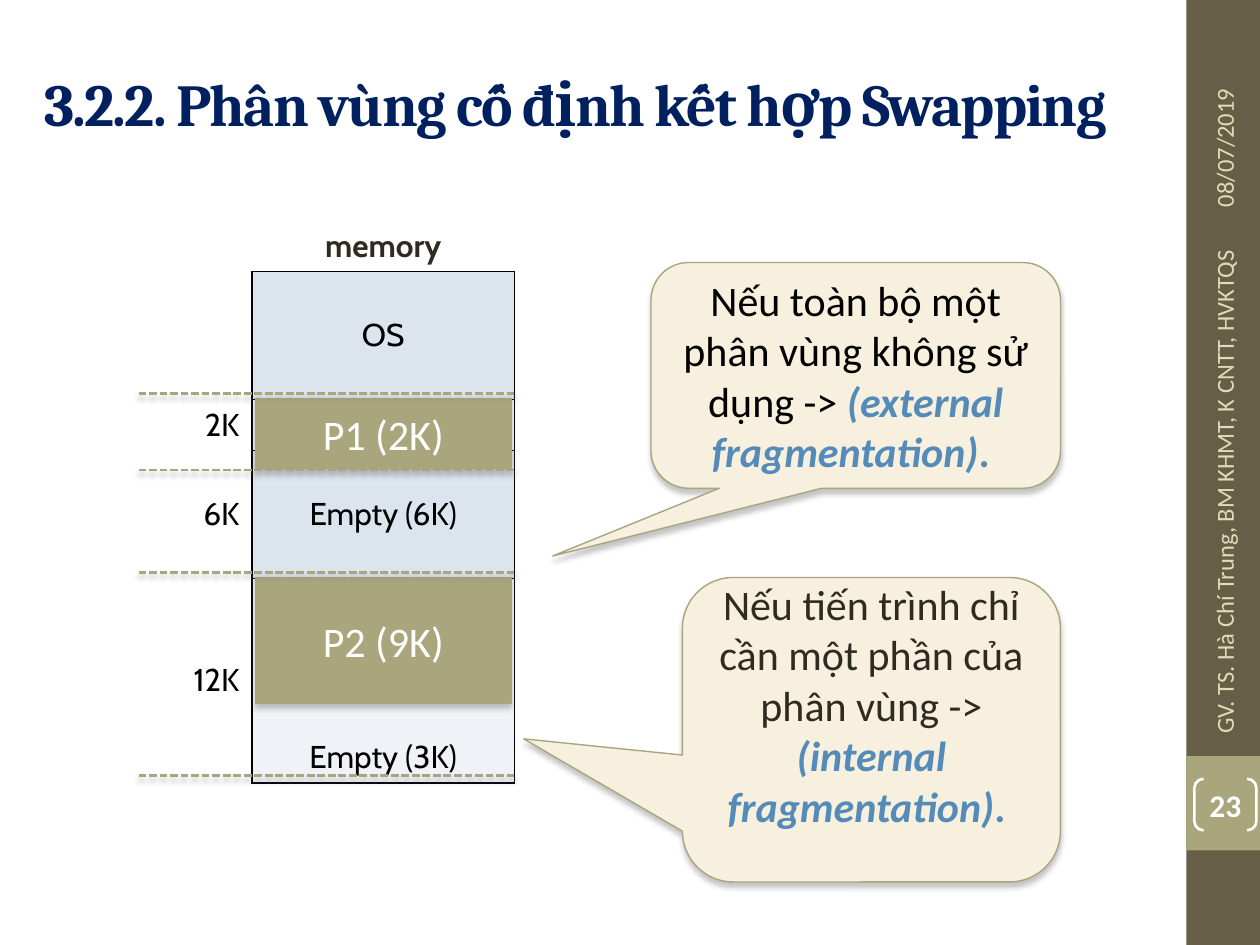
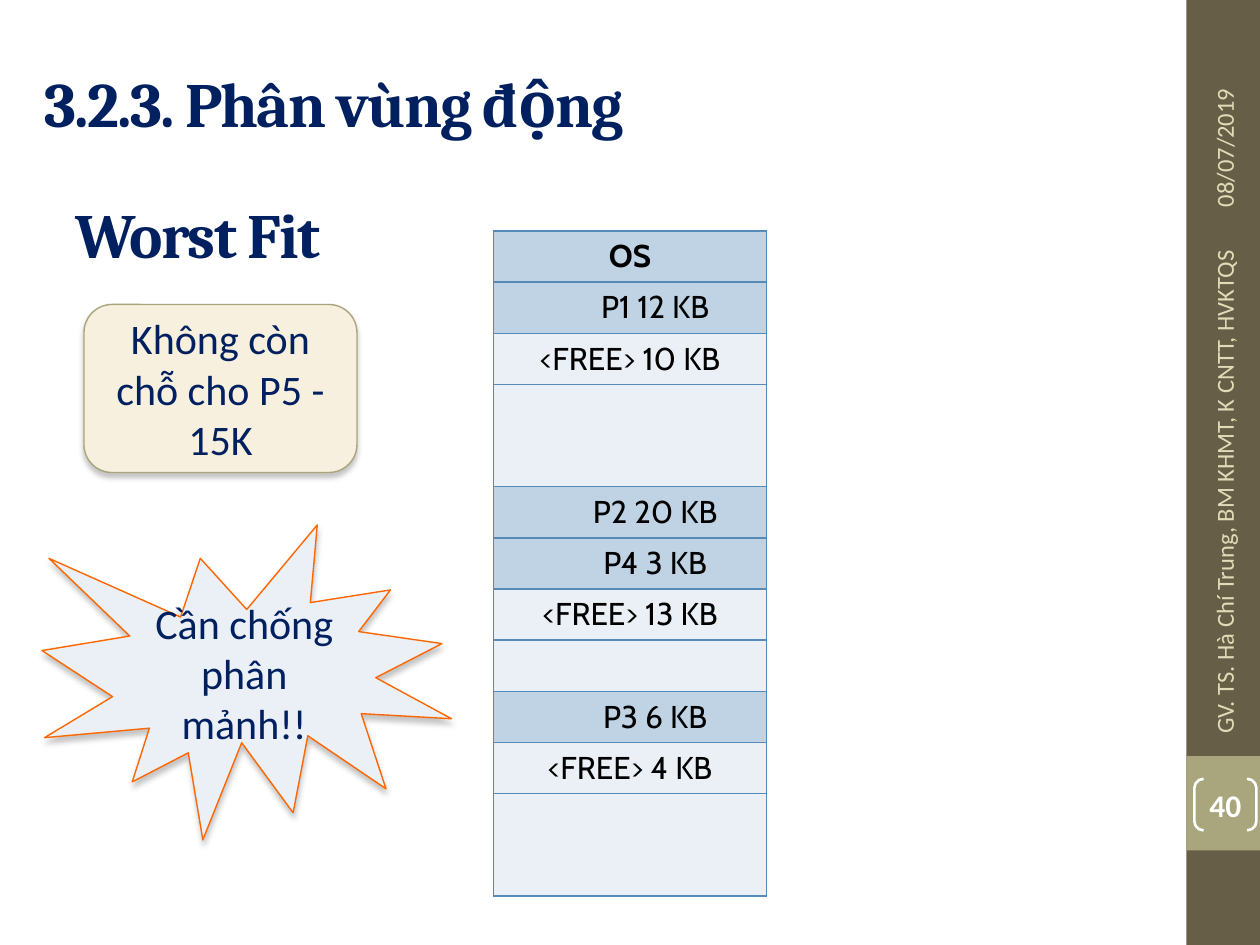
from lxml.etree import SubElement
from pptx import Presentation
from pptx.dml.color import RGBColor as RGB
from pptx.enum.dml import MSO_LINE as DASH
from pptx.enum.shapes import MSO_CONNECTOR as LINK, MSO_SHAPE as SHAPE
from pptx.enum.text import MSO_ANCHOR as ANCHOR, PP_ALIGN as ALIGN
from pptx.oxml import parse_xml
from pptx.oxml.ns import nsdecls, qn
from pptx.util import Pt

NAVY = RGB(0x00, 0x20, 0x60)
BROWN = RGB(0x67, 0x5E, 0x47)
OLIVE = RGB(0xA9, 0xA5, 0x7C)
SAND = RGB(0xDF, 0xDC, 0xB7)
CREAM = RGB(0xF7, 0xF0, 0xDE)
INK = RGB(0x2F, 0x2B, 0x20)
BLUE = RGB(0x55, 0x8B, 0xB8)
SKY = RGB(0xBF, 0xD3, 0xE4)
PALE = RGB(0xEA, 0xF0, 0xF6)
MIST = RGB(0xDC, 0xE5, 0xEE)
FROST = RGB(0xEF, 0xF3, 0xF7)
ORANGE = RGB(0xFF, 0x66, 0x00)
WHITE = RGB(0xFF, 0xFF, 0xFF)
BLACK = RGB(0x00, 0x00, 0x00)

HEAD, BODY, CELL = "Cambria", "Calibri", "Cabin"
PLAIN = "{2D5ABB26-0587-4C30-8999-92F81FD0307C}"
DATE = "08/07/2019"
AUTHOR = "GV. TS. Hà Chí Trung, BM KHMT, K CNTT, HVKTQS"
ROW = 29.25

SHADOW = f"""<a:effectLst {nsdecls("a")}>
  <a:outerShdw blurRad="{Pt(3)}" dist="{Pt(2.4)}" dir="5400000" rotWithShape="0">
    <a:srgbClr val="808080"><a:alpha val="45000"/></a:srgbClr>
  </a:outerShdw>
</a:effectLst>"""


def points(*nums):
    return [Pt(num) for num in nums]


def shade(shape):
    """Give a shape or connector the soft shadow of the deck."""
    props = shape._element.spPr
    for old in props.findall(qn("a:effectLst")):
        props.remove(old)
    props.append(parse_xml(SHADOW))


def style(run, size, color, font=BODY, bold=False, italic=False):
    face = run.font
    face.name, face.size = font, Pt(size)
    face.bold, face.italic = bold, italic
    face.color.rgb = color


def write(frame, text, size, color, font=BODY, bold=False,
          align=ALIGN.CENTER, anchor=ANCHOR.MIDDLE):
    frame.word_wrap = True
    frame.vertical_anchor = anchor
    frame.text = text
    para = frame.paragraphs[0]
    para.alignment = align
    for run in para.runs:
        style(run, size, color, font, bold)
    return para


def edge(cell, sides, color):
    """Draw the named sides (of LRTB) of a table cell."""
    props = cell._tc.get_or_add_tcPr()
    for side in "LRTB":
        if side in sides:
            line = SubElement(props, qn(f"a:ln{side}"), w=str(Pt(1)))
            fill = SubElement(line, qn("a:solidFill"))
            SubElement(fill, qn("a:srgbClr"), val=str(color))


class Deck:
    def __init__(self):
        self.prs = Presentation()
        self.prs.slide_width, self.prs.slide_height = points(720, 540)
        self.slide = None

    def start(self, title, size, number):
        """Begin a slide with its title, side band and footers."""
        self.slide = self.prs.slides.add_slide(self.prs.slide_layouts[5])
        self.shape(SHAPE.RECTANGLE, (678, 0, 42, 540), BROWN)
        self.shape(SHAPE.RECTANGLE, (678, 432, 42, 54), OLIVE)
        holder = self.slide.shapes.title
        holder.left, holder.top, holder.width, holder.height = points(
            18, 21.6, 642, 74)
        self.head(holder, title, size)
        self.side(DATE, (636.5, 48, 126, 29))
        self.side(AUTHOR, (549.5, 262, 300, 29))
        mark = self.shape(SHAPE.DOUBLE_BRACKET, (682.5, 445, 35.5, 29.5),
                          None, WHITE, 1.5)
        mark.adjustments[0] = 0.18
        frame = mark.text_frame
        frame.margin_left = frame.margin_right = 0
        frame.margin_top = frame.margin_bottom = 0
        write(frame, number, 18, WHITE, bold=True)

    def head(self, shape, text, size):
        para = write(shape.text_frame, text, size, NAVY, HEAD, True, ALIGN.LEFT)
        para.runs[0]._r.get_or_add_rPr().set("spc", "-100")

    def box(self, area):
        return self.slide.shapes.add_textbox(*points(*area))

    def side(self, text, area):
        box = self.box(area)
        box.rotation = 270
        write(box.text_frame, text, 14, SAND, align=ALIGN.LEFT)

    def shape(self, kind, area, fill, line=None, width=0.79):
        shape = self.slide.shapes.add_shape(kind, *points(*area))
        shape.shadow.inherit = False
        if fill is None:
            shape.fill.background()
        else:
            shape.fill.solid()
            shape.fill.fore_color.rgb = fill
        if line is None:
            shape.line.fill.background()
        else:
            shape.line.color.rgb = line
            shape.line.width = Pt(width)
        return shape

    def block(self, kind, area, text, color, fill, line=OLIVE):
        """Add a shadowed shape with 24 pt text."""
        shape = self.shape(kind, area, fill, line)
        shade(shape)
        write(shape.text_frame, text, 24, color)
        return shape

    def callout(self, area, tip, text, color, term=None):
        """Add a callout; tip is its pointer offset, term its stressed end."""
        shape = self.block(SHAPE.ROUNDED_RECTANGULAR_CALLOUT, area, text,
                           color, CREAM)
        shape.adjustments[0], shape.adjustments[1] = tip
        if term:
            para = shape.text_frame.paragraphs[0]
            for part, italic in ((term, True), (". ", False)):
                run = para.add_run()
                run.text = part
                style(run, 24, BLUE, bold=True, italic=italic)
        return shape

    def dash(self, left, right, top):
        line = self.slide.shapes.add_connector(
            LINK.STRAIGHT, *points(right, top, left, top))
        line.line.color.rgb = OLIVE
        line.line.width = Pt(1.5)
        line.line.dash_style = DASH.SQUARE_DOT
        shade(line)

    def table(self, left, top, cols, rows):
        frame = self.slide.shapes.add_table(
            len(rows), len(cols), *points(left, top, sum(cols), sum(rows)))
        table = frame.table
        table.first_row = table.horz_banding = False
        table._tbl.tblPr.find(qn("a:tableStyleId")).text = PLAIN
        for col, width in zip(table.columns, cols):
            col.width = Pt(width)
        for row, height in zip(table.rows, rows):
            row.height = Pt(height)
        return table

    def cell(self, cell, text, fill, sides="", color=BLACK, ink=BLACK,
             bold=False, align=ALIGN.CENTER, anchor=ANCHOR.MIDDLE):
        edge(cell, sides, color)
        cell.fill.solid()
        cell.fill.fore_color.rgb = fill
        cell.vertical_anchor = anchor
        if text:
            write(cell.text_frame, text, 18, ink, CELL, bold, align, anchor)


def fixed(deck):
    deck.start("3.2.2. Phân vùng cố định kết hợp Swapping", 34, "23")
    parts = [
        ("", "OS", 73, MIST, ANCHOR.MIDDLE),
        ("2K", "", ROW, FROST, ANCHOR.MIDDLE),
        ("6K", "Empty (6K)", 73, MIST, ANCHOR.MIDDLE),
        ("12K", "Empty (3K)", 117, FROST, ANCHOR.BOTTOM),
    ]
    table = deck.table(78, 126, [66, 150], [ROW] + [part[2] for part in parts])
    deck.cell(table.cell(0, 0), "", WHITE)
    deck.cell(table.cell(0, 1), "memory", WHITE, "B", ink=INK, bold=True)
    for row, (size, text, _, fill, anchor) in enumerate(parts, 1):
        deck.cell(table.cell(row, 0), size, WHITE, "R", align=ALIGN.RIGHT)
        deck.cell(table.cell(row, 1), text, fill, "LRTB", anchor=anchor)

    for text, top, height in (("P2 (9K)", 330, 72), ("P1 (2K)", 228, 39.6)):
        deck.block(SHAPE.RECTANGLE, (146, top, 146, height), text, WHITE, OLIVE)

    deck.callout((372, 150, 234, 129), (-0.74, 0.8),
                 "Nếu toàn bộ một phân vùng không sử dụng -> ", BLACK,
                 "(external fragmentation)")
    inner = deck.callout((390, 330, 216, 174), (-0.92, 0.03),
                         "Nếu tiến trình chỉ cần một phần của phân vùng -> ",
                         INK, "(internal fragmentation)")
    inner.text_frame.margin_bottom = Pt(32.4)

    for top in (225, 268.5, 327, 443):
        deck.dash(78, 294, top)


def moving(deck):
    deck.start("3.2.3. Phân vùng động", 36, "40")
    parts = [
        ("OS", 1), ("P1 12 KB", 1), ("<FREE> 10 KB", 3), ("P2 20 KB", 1),
        ("P4 3 KB", 1), ("<FREE> 13 KB", 2), ("P3 6 KB", 1),
        ("<FREE> 4 KB", 3),
    ]
    table = deck.table(282, 132, [156], [ROW] * sum(n for _, n in parts))
    row = 0
    for text, count in parts:
        fill = PALE if text.startswith("<") else SKY
        for step in range(count):
            cell = table.cell(row, 0)
            sides = "LR" + "T" * (step == 0) + "B" * (step == count - 1)
            deck.cell(cell, "" if step else text, fill, sides, BLUE,
                      bold=text == "OS", anchor=ANCHOR.TOP)
            if text.startswith("P"):
                cell.margin_left = Pt(36)
            row += 1

    deck.callout((48, 174, 156, 96), (0.24, 0.5),
                 "Không còn chỗ cho P5 - 15K", NAVY)
    deck.block(SHAPE.EXPLOSION1, (24, 300, 234, 180),
               "Cần chống phân mảnh!!", NAVY, PALE, ORANGE)
    deck.head(deck.box((36, 102, 210, 63)), "Worst Fit", 36)


def main():
    deck = Deck()
    fixed(deck)
    moving(deck)
    deck.prs.save("out.pptx")


if __name__ == "__main__":
    main()
